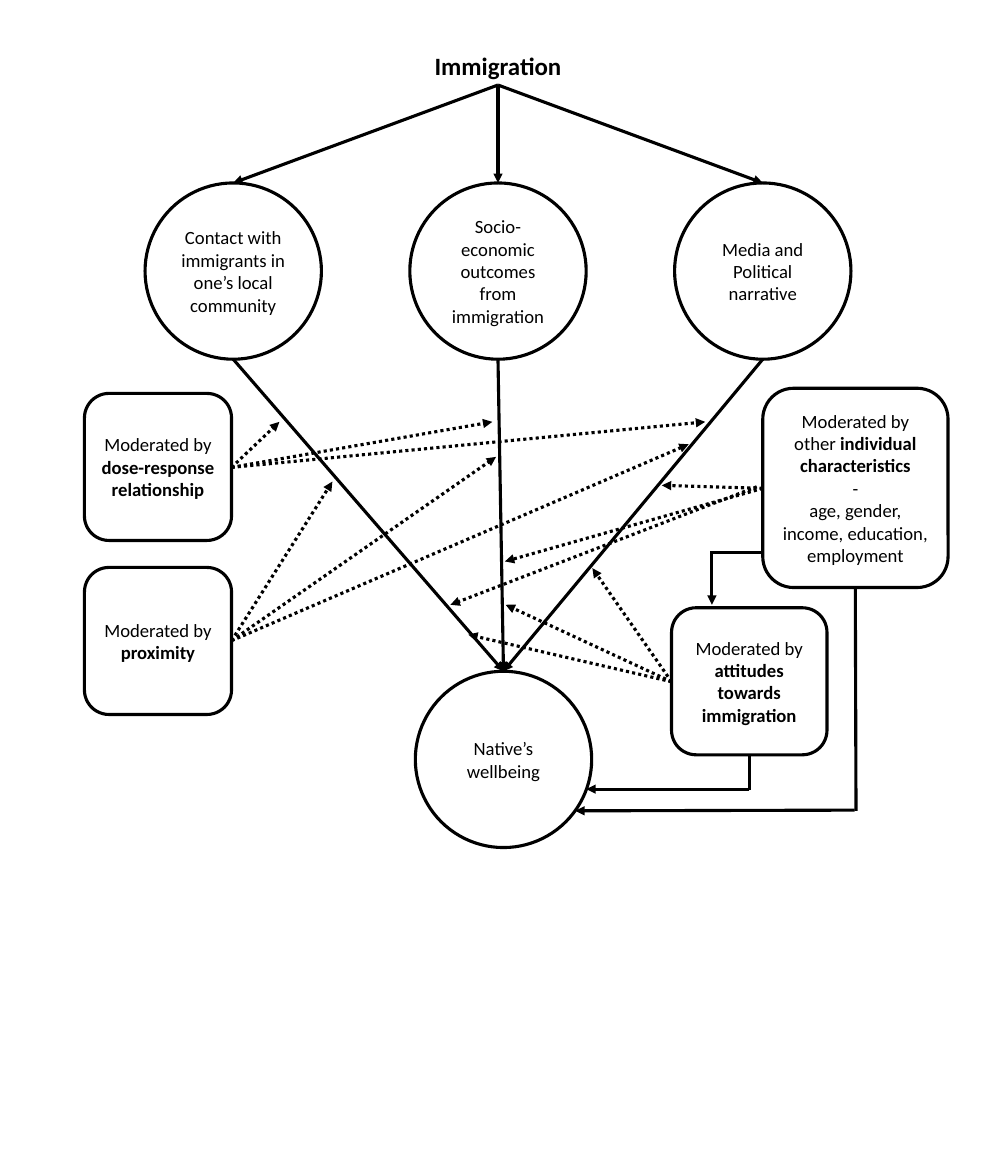
from lxml import etree
from pptx import Presentation
from pptx.dml.color import RGBColor
from pptx.enum.dml import MSO_LINE
from pptx.enum.shapes import MSO_CONNECTOR, MSO_SHAPE
from pptx.enum.text import MSO_ANCHOR, MSO_AUTO_SIZE, PP_ALIGN
from pptx.oxml.ns import qn
from pptx.util import Pt

OVAL, BOX = MSO_SHAPE.OVAL, MSO_SHAPE.ROUNDED_RECTANGLE
STRAIGHT = MSO_CONNECTOR.STRAIGHT
DOTTED = MSO_LINE.ROUND_DOT
TOP, MIDDLE = MSO_ANCHOR.TOP, MSO_ANCHOR.MIDDLE
CENTER = PP_ALIGN.CENTER
NO_FIT = MSO_AUTO_SIZE.NONE
COLORS = {"ink": "000000", "paper": "FFFFFF"}
INK = RGBColor.from_string(COLORS["ink"])
PAPER = RGBColor.from_string(COLORS["paper"])
FONT = "Calibri"
LINE_WIDTH = Pt(3)


def add_text(sp, runs, size=18, anchor=MIDDLE):
    tf = sp.text_frame
    tf.word_wrap = True
    tf.auto_size = NO_FIT
    tf.vertical_anchor = anchor
    p = tf.paragraphs[0]
    p.alignment = CENTER
    for text, bold in runs:
        for i, part in enumerate(text.split("\n")):
            if i:
                p.add_line_break()
            if part:
                r = p.add_run()
                r.text = part
                r.font.name = FONT
                r.font.size = Pt(size)
                r.font.bold = bold
                r.font.color.rgb = INK


def add_line(start, end, dotted=False, arrow=True):
    cn = slide.shapes.add_connector(STRAIGHT, *map(Pt, start + end))
    cn.line.width = LINE_WIDTH
    cn.line.color.rgb = INK
    if dotted:
        cn.line.dash_style = DOTTED
    if arrow:
        etree.SubElement(cn.line._get_or_add_ln(), qn("a:tailEnd"), type="triangle")
    etree.SubElement(cn._element.spPr, qn("a:effectLst"))


prs = Presentation()
prs.slide_width, prs.slide_height = Pt(960), Pt(1134)
slide = prs.slides.add_slide(prs.slide_layouts[5])

title = slide.shapes.title
title.left, title.top, title.width, title.height = map(Pt, (336, 45.4, 288, 36))
add_text(title, [("Immigration", True)], size=24, anchor=TOP)

DIAMETER = 170
SOURCE = (480, 82)
CHANNEL_TOP = 176.4
CHANNEL_BOTTOM = CHANNEL_TOP + DIAMETER
WELLBEING = (485.3, 647.3)
channels = [
    (224.8, "Contact with immigrants in one’s local community"),
    (480, "Socio-economic outcomes from immigration"),
    (735.2, "Media and Political narrative"),
]
circles = [(x, CHANNEL_TOP, text) for x, text in channels]
circles.append((*WELLBEING, "Native’s wellbeing"))

nodes = [
    (OVAL, (x - DIAMETER / 2, y, DIAMETER, DIAMETER), [(text, False)])
    for x, y, text in circles
]
nodes += [
    (BOX, (735.2, 374.4, 178.6, 192.2), [
        ("Moderated by other ", False),
        ("individual characteristics\n", True),
        ("-\nage, gender, income, education, employment", False),
    ]),
    (BOX, (81.4, 379.4, 141.8, 141.8), [
        ("Moderated by ", False), ("dose-response relationship", True)]),
    (BOX, (81.4, 547.2, 141.8, 141.8), [
        ("Moderated by ", False), ("proximity", True)]),
    (BOX, (647.3, 586.1, 149.8, 141.8), [
        ("Moderated by ", False), ("attitudes towards immigration", True)]),
]
for kind, bounds, runs in nodes:
    sp = slide.shapes.add_shape(kind, *map(Pt, bounds))
    sp.shadow.inherit = False
    sp.fill.solid()
    sp.fill.fore_color.rgb = PAPER
    sp.line.color.rgb = INK
    sp.line.width = LINE_WIDTH
    add_text(sp, runs)

for x, text in channels:
    add_line(SOURCE, (x, CHANNEL_TOP))
    add_line((x, CHANNEL_BOTTOM), WELLBEING)

moderations = [
    ((223.2, 450.7), [(269.3, 406.8), (474.5, 406.8), (679.7, 406.8)]),
    ((223.2, 617.8), [(320.4, 464.4), (478.1, 440.6), (663.8, 428.4)]),
    ((729.4, 469.4), [(434.2, 583.2)]),
    ((735.2, 470.9), [(486.7, 541.4), (637.9, 468)]),
    ((647.3, 657.4), [(571, 547.9), (487.4, 583.2), (451.4, 612)]),
]
for start, ends in moderations:
    for end in ends:
        add_line(start, end, dotted=True)

elbows = [
    ((824.4, 566.6), (825.1, 781.9), (823.7, 781.2), (554.4, 781.9)),
    ((722.2, 727.9), (722.2, 761.8), (722.2, 761), (565.2, 761)),
    ((735.8, 532.8), (684.7, 532.8), (686.2, 532.8), (686.2, 583.2)),
]
for start, corner, turn, end in elbows:
    add_line(start, corner, arrow=False)
    add_line(turn, end)

prs.save("out.pptx")
